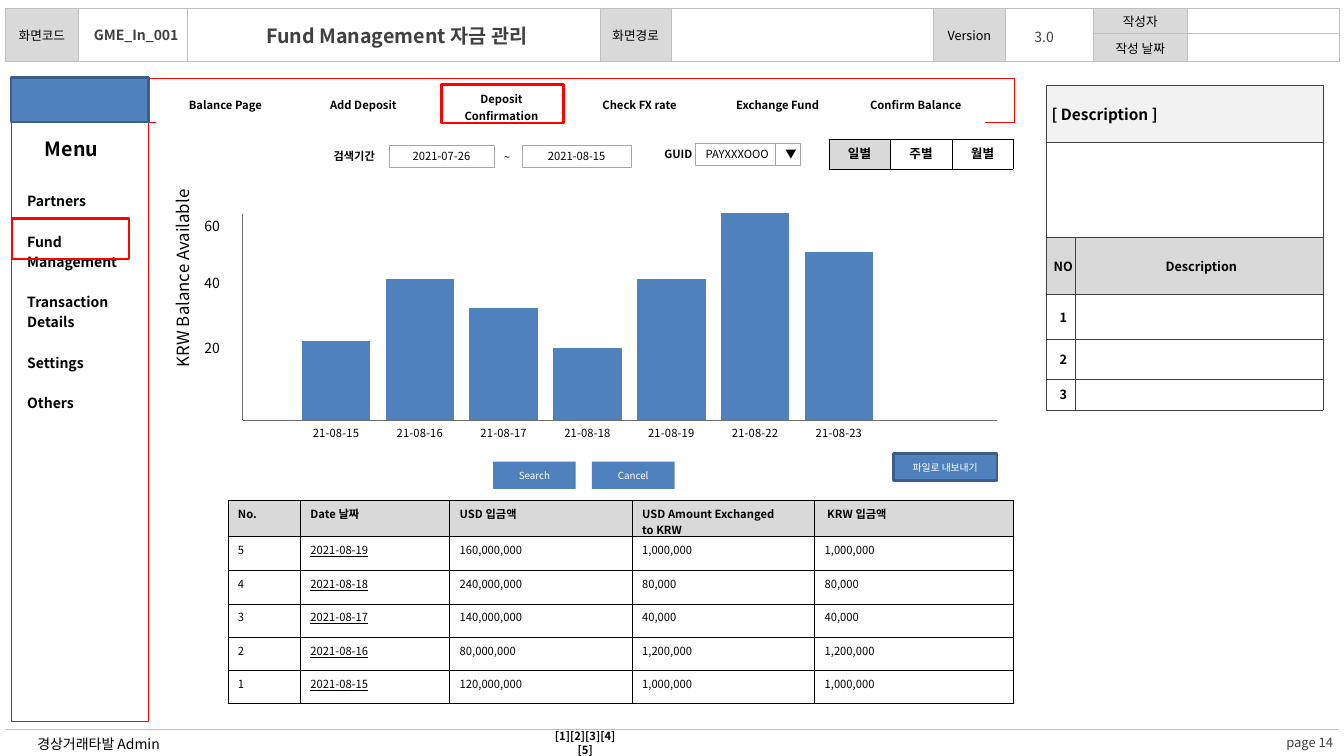
from dataclasses import dataclass
from typing import NamedTuple, Optional

import lxml.etree
import pptx
import pptx.chart.data
import pptx.dml.color
import pptx.enum.chart
import pptx.enum.shapes
import pptx.enum.text
import pptx.oxml.ns
import pptx.util

Inches = pptx.util.Inches
Pt = pptx.util.Pt
RGBColor = pptx.dml.color.RGBColor
Align = pptx.enum.text.PP_ALIGN
Anchor = pptx.enum.text.MSO_ANCHOR
qn = pptx.oxml.ns.qn

FONT = "Noto Sans CJK KR"
BLACK = RGBColor(0x00, 0x00, 0x00)
WHITE = RGBColor(0xFF, 0xFF, 0xFF)
DARK = RGBColor(0x40, 0x40, 0x40)
SILVER = RGBColor(0xBF, 0xBF, 0xBF)
FIELD_LINE = RGBColor(0xA6, 0xA6, 0xA6)
GRAY = RGBColor(0xD9, 0xD9, 0xD9)
PALE = RGBColor(0xF2, 0xF2, 0xF2)
RED = RGBColor(0xFF, 0x00, 0x00)
BLUE = RGBColor(0x4F, 0x81, 0xBD)
NAVY = RGBColor(0x3A, 0x5F, 0x8C)
AXIS = RGBColor(0x6E, 0x6E, 0x6E)
INSETS = (0.1, 0.05, 0.1, 0.05)
NO_STYLE = "{2D5ABB26-0587-4C30-8999-92F81FD0307C}"


class Cell(NamedTuple):
    text: str = ""
    fill: Optional[RGBColor] = None
    size: float = 8
    bold: bool = False
    underline: bool = False
    align: Align = Align.LEFT
    gap: float = 0


@dataclass
class Grid:
    at: tuple
    cols: list
    rows: list
    cells: list
    border: Optional[RGBColor] = None
    insets: tuple = INSETS
    anchor: Anchor = Anchor.TOP
    merges: tuple = ()
    open_rows: tuple = ()


@dataclass
class Box:
    at: tuple
    text: str = ""
    fill: Optional[RGBColor] = None
    line: Optional[RGBColor] = None
    width: float = 0.25
    size: float = 8
    color: RGBColor = BLACK
    align: Align = Align.CENTER


def write(tf, text, *, size=8, color=BLACK, bold=False, underline=False, align=Align.LEFT, gap=0):
    for i, line in enumerate(text.split("\n")):
        p = tf.paragraphs[0] if i == 0 else tf.add_paragraph()
        p.alignment = align
        if i and gap:
            p.space_before = Pt(gap)
        if not line:
            lxml.etree.SubElement(p._p, qn("a:endParaRPr"), sz=str(int(size * 100)))
            continue
        r = p.add_run()
        r.text = line
        r.font.size, r.font.bold, r.font.underline = Pt(size), bold, underline
        r.font.color.rgb = color
        r.font.name = FONT
        lxml.etree.SubElement(r._r.get_or_add_rPr(), qn("a:ea"), typeface=FONT)


def set_frame(frame, insets=INSETS, anchor=Anchor.TOP):
    frame.margin_left, frame.margin_top, frame.margin_right, frame.margin_bottom = map(Inches, insets)
    frame.vertical_anchor = anchor


def set_fill(fill, color):
    if color is None:
        fill.background()
    else:
        fill.solid()
        fill.fore_color.rgb = color


def add_text(s, at, text, *, insets=INSETS, anchor=Anchor.TOP, wrap=False, **fmt):
    sp = s.shapes.add_textbox(*map(Inches, at))
    set_frame(sp.text_frame, insets, anchor)
    sp.text_frame.word_wrap = wrap
    write(sp.text_frame, text, **fmt)
    return sp


def add_box(s, box: Box):
    sp = s.shapes.add_shape(pptx.enum.shapes.MSO_SHAPE.RECTANGLE, *map(Inches, box.at))
    sp.shadow.inherit = False
    set_fill(sp.fill, box.fill)
    set_fill(sp.line.fill, box.line)
    if box.line is not None:
        sp.line.width = Pt(box.width)
    if box.text:
        set_frame(sp.text_frame, anchor=Anchor.MIDDLE)
        write(sp.text_frame, box.text, size=box.size, color=box.color, align=box.align)


def set_borders(cell, color, sides):
    tcPr = cell._tc.get_or_add_tcPr()
    for i, side in enumerate(sides):
        ln = lxml.etree.Element(qn(f"a:ln{side}"), w=str(Pt(0.25)))
        solid = lxml.etree.SubElement(ln, qn("a:solidFill"))
        lxml.etree.SubElement(solid, qn("a:srgbClr"), val=str(color))
        tcPr.insert(i, ln)


def add_grid(s, grid: Grid):
    table = s.shapes.add_table(len(grid.rows), len(grid.cols), *map(Inches, grid.at),
                               Inches(sum(grid.cols)), Inches(sum(grid.rows))).table
    table.first_row = table.horz_banding = False
    table._tbl.tblPr.find(qn("a:tableStyleId")).text = NO_STYLE
    for col, width in zip(table.columns, grid.cols):
        col.width = Inches(width)
    for row, height in zip(table.rows, grid.rows):
        row.height = Inches(height)
    for i, row in enumerate(grid.cells):
        for j, item in enumerate(row):
            cell = table.cell(i, j)
            set_frame(cell, grid.insets, grid.anchor)
            set_fill(cell.fill, item.fill)
            write(cell.text_frame, item.text, size=item.size, bold=item.bold,
                  underline=item.underline, align=item.align, gap=item.gap)
            if grid.border is not None:
                set_borders(cell, grid.border, "TB" if i in grid.open_rows else "LRTB")
    for top, left, bottom, right in grid.merges:
        table.cell(top, left).merge(table.cell(bottom, right))


def add_line(s, x1, y1, x2, y2):
    ln = s.shapes.add_connector(pptx.enum.shapes.MSO_CONNECTOR.STRAIGHT, *map(Inches, (x1, y1, x2, y2)))
    ln.line.color.rgb, ln.line.width = AXIS, Pt(0.75)
    lxml.etree.SubElement(ln._element.spPr, qn("a:effectLst"))


def add_balance_chart(s):
    data = pptx.chart.data.CategoryChartData()
    data.categories = [f"21-08-{day}" for day in (15, 16, 17, 18, 19, 22, 23)]
    data.add_series("KRW Balance Available", (24, 43, 34, 22, 43, 63, 51))
    chart = s.shapes.add_chart(pptx.enum.chart.XL_CHART_TYPE.COLUMN_CLUSTERED,
                               *map(Inches, (2.41, 2, 7.48, 2.5)), data).chart
    chart.has_legend = chart.has_title = False
    chart.font.name, chart.font.size = FONT, Pt(8)
    chart.font.color.rgb = BLACK
    plot = chart.plots[0]
    plot.gap_width, plot.vary_by_categories = 22, False
    set_fill(plot.series[0].format.fill, BLUE)
    chart.value_axis.minimum_scale, chart.value_axis.maximum_scale = 0, 63
    chart.value_axis.has_major_gridlines = chart.value_axis.visible = False
    chart.category_axis.major_tick_mark = pptx.enum.chart.XL_TICK_MARK.NONE
    chart.category_axis.format.line.fill.background()
    area = chart._chartSpace.chart.plotArea
    for old in area.findall(qn("c:layout")):
        area.remove(old)
    layout = lxml.etree.Element(qn("c:layout"))
    manual = lxml.etree.SubElement(layout, qn("c:manualLayout"))
    for tag, val in (("layoutTarget", "inner"), ("xMode", "edge"), ("yMode", "edge"),
                     ("x", 0.068), ("y", 0.044), ("w", 0.778), ("h", 0.824)):
        lxml.etree.SubElement(manual, qn(f"c:{tag}"), val=str(val))
    area.insert(0, layout)


def header_grid():
    def label(text):
        return Cell(text, GRAY if text else None, 9, align=Align.CENTER)
    top = ["화면코드", "", "", "화면경로", "", "Version", "", "작성자", ""]
    low = [""] * 7 + ["작성 날짜", ""]
    cells = [[label(t) for t in row] for row in (top, low, [""] * 9)]
    return Grid((0.05, 0.08), [0.73, 1.08, 4.09, 0.71, 2.6, 0.71, 0.87, 0.94, 1.5], [0.25, 0.28, 6.62],
                cells, SILVER, (0.01, 0.01, 0.01, 0), Anchor.MIDDLE,
                tuple((0, j, 1, j) for j in range(7)) + ((2, 0, 2, 8),), (2,))


def description_grid():
    def mid(text, fill=None):
        return Cell(text, fill, 9, True, align=Align.CENTER)
    cells = [[Cell("[ Description ]", PALE, 11, True), Cell(fill=PALE)], [Cell(fill=WHITE)] * 2,
             [mid("NO", GRAY), mid("Description", GRAY)]] + [[mid(str(n)), Cell()] for n in (1, 2, 3)]
    return Grid((10.38, 0.84), [0.28, 2.46], [0.57, 0.94, 0.57, 0.45, 0.39, 0.31], cells, DARK,
                (0.05, 0, 0, 0), Anchor.MIDDLE, ((0, 0, 0, 1), (1, 0, 1, 1)))


def deposit_grid():
    heads = ["No.", "Date 날짜", "USD 입금액", "USD Amount Exchanged\nto KRW", " KRW 입금액"]
    rows = [("5", "19", "160,000,000", "1,000,000"), ("4", "18", "240,000,000", "80,000"),
            ("3", "17", "140,000,000", "40,000"), ("2", "16", "80,000,000", "1,200,000"),
            ("1", "15", "120,000,000", "1,000,000")]
    cells = [[Cell(t, GRAY, bold=True) for t in heads]]
    for no, day, usd, krw in rows:
        cells.append([Cell(t, WHITE, underline=j == 1)
                      for j, t in enumerate((no, f"2021-08-{day}", usd, krw, krw))])
    return Grid((2.26, 4.96), [0.72, 1.48, 1.81, 1.81, 1.97], [0.36, 0.34] + [0.33] * 4, cells,
                BLACK, (0.1, 0.05, 0.1, 0))


def main():
    prs = pptx.Presentation()
    prs.slide_width, prs.slide_height = Inches(13.33), Inches(7.5)
    s = prs.slides.add_slide(prs.slide_layouts[5])
    title = s.shapes.title
    title.left, title.top, title.width, title.height = map(Inches, (1.94, 0.19, 4.09, 0.34))
    set_frame(title.text_frame, (0, 0.05, 0.1, 0.05))
    write(title.text_frame, "Fund Management 자금 관리", size=14, color=DARK, bold=True, align=Align.CENTER)

    add_grid(s, header_grid())
    for at, text, bold in (((0.78, 0.21, 1.24, 0.27), "GME_In_001", True),
                           ((10.05, 0.23, 0.71, 0.27), "3.0", False)):
        add_text(s, at, text, insets=(0, 0.05, 0.1, 0.05), wrap=True, size=10, color=DARK,
                 bold=bold, align=Align.CENTER)
    add_text(s, (12.65, 7.23, 0.68, 0.26), "page 14", insets=(0, 0, 0, 0), anchor=Anchor.MIDDLE,
             size=9.3, color=DARK, align=Align.CENTER)
    add_text(s, (0.05, 7.25, 12.91, 0.25), "경상거래타발 Admin", insets=(0.32, 0.05, 0.1, 0.05),
             anchor=Anchor.MIDDLE, wrap=True, size=10)
    add_text(s, (5.33, 7.19, 0.95, 0.24), "[1][2][3][4][5]", insets=(0.15, 0.05, 0.15, 0.05),
             wrap=True, bold=True, align=Align.CENTER)
    add_grid(s, description_grid())

    for box in (Box((0.11, 0.78, 9.95, 0.43), fill=WHITE, line=RED),
                Box((0.11, 0.96, 1.36, 6.2), fill=WHITE, line=RED),
                Box((0.11, 0.77, 1.36, 0.44), fill=BLUE, line=NAVY, width=2)):
        add_box(s, box)
    menu = "Partners\nFund Management\nTransaction Details\nSettings\nOthers"
    add_grid(s, Grid((0.17, 1.58), [1.16], [0.26, 2.44],
                     [[Cell(fill=WHITE)], [Cell(menu, WHITE, 10, True, gap=14.5)]]))
    add_text(s, (0.34, 1.31, 0.74, 0.34), "Menu", size=14, bold=True, align=Align.CENTER)
    tabs = ["Balance Page", "Add Deposit", "Deposit Confirmation", "Check FX rate", "Exchange Fund",
            "Confirm Balance"]
    add_grid(s, Grid((1.55, 0.85), [1.37] * 6, [0.3],
                     [[Cell(t, WHITE, bold=True, align=Align.CENTER) for t in tabs]], anchor=Anchor.MIDDLE))
    periods = [Cell(t, f, 9, True, align=Align.CENTER)
               for t, f in (("일별", GRAY), ("주별", WHITE), ("월별", WHITE))]
    add_grid(s, Grid((8.22, 1.38), [0.61] * 3, [0.3], [periods], BLACK))

    add_balance_chart(s)
    add_line(s, 2.41, 2.12, 2.41, 4.17)
    add_line(s, 2.41, 4.17, 9.89, 4.17)
    for text, top in (("60", 2.11), ("40", 2.67), ("20", 3.32)):
        add_text(s, (1.93, top, 0.37, 0.27), text, size=10)
    add_text(s, (0.73, 2.51, 2.16, 0.3), "KRW Balance Available", wrap=True, size=12).rotation = 270
    add_grid(s, deposit_grid())

    add_text(s, (3.21, 1.43, 0.62, 0.24), "검색기간", bold=True)
    add_text(s, (4.9, 1.44, 0.43, 0.24), "~", wrap=True)
    add_text(s, (6.49, 1.41, 0.48, 0.24), "GUID", bold=True)
    for box in (Box((3.86, 1.44, 1.04, 0.22), "2021-07-26", WHITE, FIELD_LINE),
                Box((5.18, 1.44, 1.08, 0.22), "2021-08-15", WHITE, FIELD_LINE),
                Box((6.9, 1.42, 1.04, 0.22), "PAYXXXOOO", WHITE, FIELD_LINE, align=Align.LEFT),
                Box((7.69, 1.42, 0.25, 0.22), "▼", WHITE, FIELD_LINE),
                Box((4.89, 4.58, 0.82, 0.27), "Search", BLUE, size=7, color=WHITE),
                Box((5.87, 4.58, 0.82, 0.27), "Cancel", BLUE, size=7, color=WHITE),
                Box((8.86, 4.5, 1.03, 0.27), "파일로 내보내기", BLUE, NAVY, 2, 7, WHITE),
                Box((0.12, 2.17, 1.16, 0.4), line=RED, width=2),
                Box((4.38, 0.84, 1.21, 0.38), line=RED, width=2)):
        add_box(s, box)
    prs.save("out.pptx")


if __name__ == "__main__":
    main()
